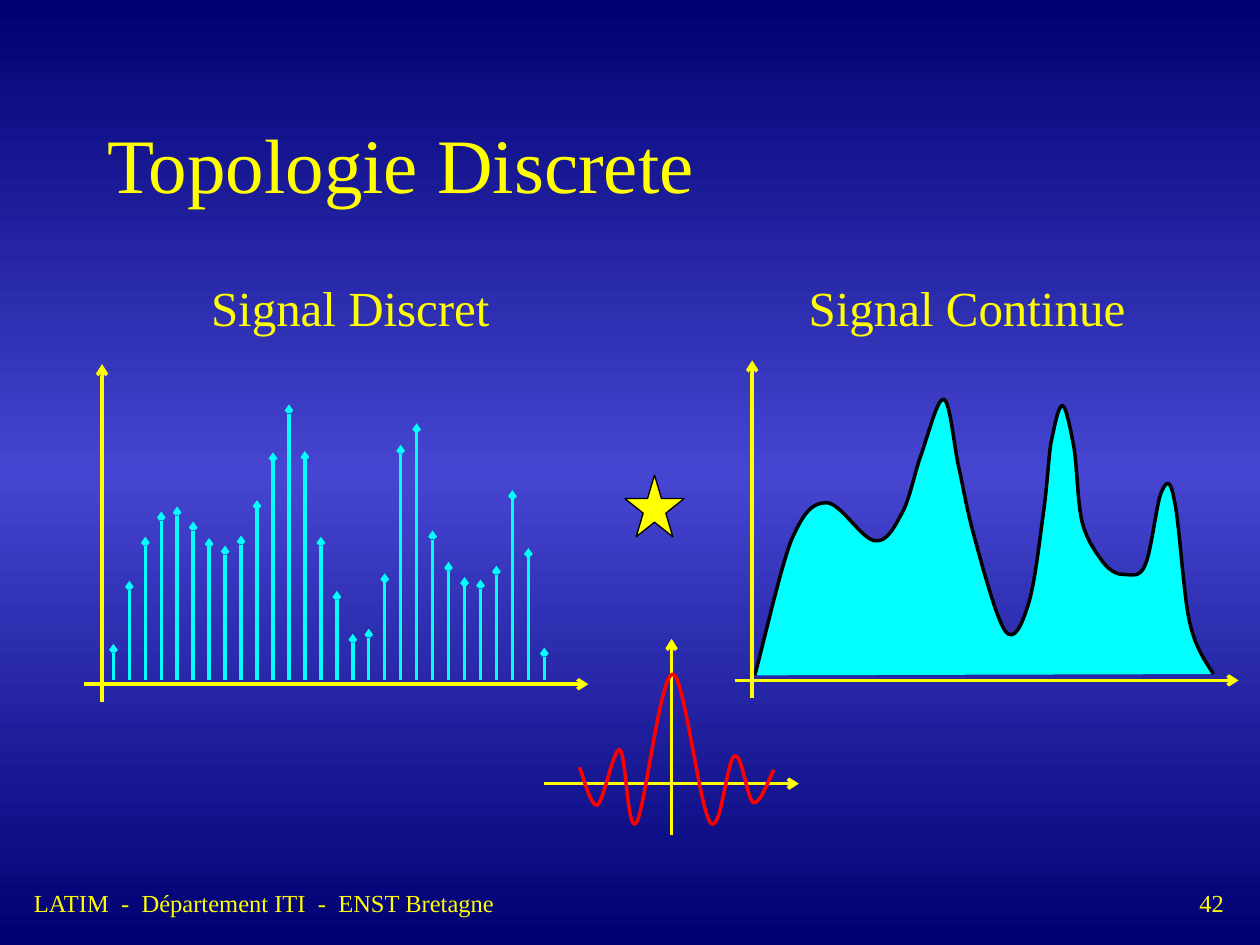
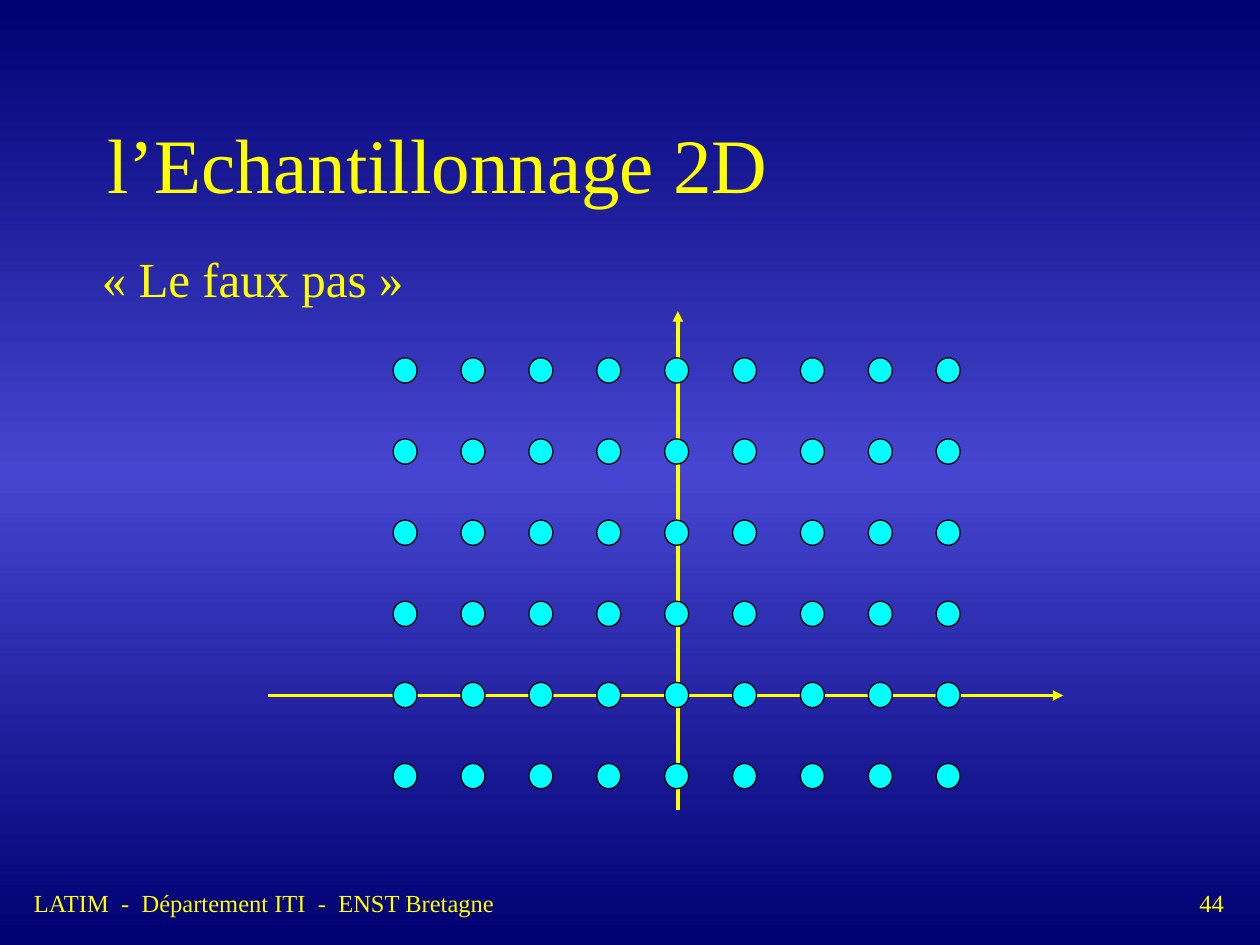
from copy import deepcopy

from pptx import Presentation
from pptx.dml.color import RGBColor
from pptx.enum.shapes import MSO_CONNECTOR, MSO_SHAPE, PP_PLACEHOLDER
from pptx.enum.text import MSO_ANCHOR, PP_ALIGN
from pptx.oxml.ns import qn
from pptx.util import Inches, Pt

STRAIGHT = MSO_CONNECTOR.STRAIGHT
STAR, OVAL = MSO_SHAPE.STAR_5_POINT, MSO_SHAPE.OVAL
FOOTER_TYPE = PP_PLACEHOLDER.FOOTER
LEFT, CENTER = PP_ALIGN.LEFT, PP_ALIGN.CENTER
TOP, MIDDLE = MSO_ANCHOR.TOP, MSO_ANCHOR.MIDDLE

NAVY = RGBColor(0x00, 0x00, 0x72)
INDIGO = RGBColor(0x45, 0x45, 0xD1)
YELLOW = RGBColor(0xFF, 0xFF, 0x00)
CYAN = RGBColor(0x00, 0xFF, 0xFF)
RED = RGBColor(0xFF, 0x00, 0x00)
BLACK = RGBColor(0x00, 0x00, 0x00)
FONT = "Times New Roman"

FOOTER = "LATIM  -  Département ITI  -  ENST Bretagne"
BACKGROUND_STOPS = [(0, NAVY), (0.5, INDIGO), (1, NAVY)]

SIGNAL_LABELS = [
    ("Signal Discret", (1.29, 2.15, 2.98, 0.57)),
    ("Signal Continue", (6.01, 2.15, 3.33, 0.57)),
]
DISCRETE_AXES = [((0.67, 5.43), (4.67, 5.43)), ((0.81, 5.57), (0.81, 2.89))]
KERNEL_AXES = [((5.33, 6.63), (5.33, 5.07)), ((4.32, 6.22), (6.34, 6.22))]
CONTINUOUS_AXES = [((5.83, 5.4), (9.83, 5.4)), ((5.97, 5.54), (5.97, 2.86))]
GRID_AXES = [((5.38, 6.43), (5.38, 2.47)), ((2.13, 5.52), (8.44, 5.52))]

STEM_FIRST, STEM_LAST, STEM_BASE = 0.9, 4.32, 5.4
STEM_TOPS = [
    5.11, 4.61, 4.26, 4.06, 4.02, 4.14, 4.27, 4.33, 4.25, 3.97,
    3.59, 3.21, 3.58, 4.26, 4.69, 5.03, 4.99, 4.55, 3.53, 3.36,
    4.21, 4.46, 4.58, 4.6, 4.49, 3.89, 4.35, 5.14,
]

KERNEL_START = (4.6, 6.09)
KERNEL_CURVES = [
    (4.62, 6.13, 4.69, 6.41, 4.74, 6.39),
    (4.79, 6.37, 4.87, 5.93, 4.92, 5.95),
    (4.97, 5.98, 4.98, 6.63, 5.05, 6.53),
    (5.12, 6.43, 5.24, 5.35, 5.34, 5.35),
    (5.43, 5.35, 5.55, 6.42, 5.64, 6.53),
    (5.72, 6.63, 5.77, 6.02, 5.83, 6.0),
    (5.89, 5.97, 5.93, 6.35, 5.98, 6.37),
    (6.03, 6.39, 6.11, 6.17, 6.14, 6.11),
]
SIGNAL_START = (5.99, 5.36)
SIGNAL_CURVES = [
    (6.04, 5.19, 6.19, 4.52, 6.28, 4.29),
    (6.38, 4.06, 6.45, 3.99, 6.56, 3.99),
    (6.67, 3.99, 6.84, 4.28, 6.94, 4.29),
    (7.04, 4.31, 7.1, 4.18, 7.16, 4.07),
    (7.22, 3.96, 7.25, 3.79, 7.3, 3.64),
    (7.36, 3.48, 7.44, 3.15, 7.49, 3.17),
    (7.54, 3.18, 7.57, 3.53, 7.61, 3.71),
    (7.65, 3.89, 7.67, 4.03, 7.73, 4.25),
    (7.79, 4.47, 7.91, 4.92, 7.98, 5.01),
    (8.05, 5.1, 8.11, 4.96, 8.16, 4.8),
    (8.21, 4.65, 8.25, 4.3, 8.28, 4.08),
    (8.31, 3.87, 8.32, 3.66, 8.34, 3.52),
    (8.37, 3.38, 8.4, 3.22, 8.43, 3.22),
    (8.46, 3.22, 8.49, 3.38, 8.52, 3.53),
    (8.55, 3.69, 8.55, 3.99, 8.59, 4.15),
    (8.63, 4.3, 8.71, 4.4, 8.76, 4.47),
    (8.82, 4.54, 8.87, 4.56, 8.93, 4.56),
    (8.98, 4.56, 9.05, 4.59, 9.09, 4.48),
    (9.14, 4.37, 9.18, 3.98, 9.22, 3.9),
    (9.26, 3.81, 9.29, 3.8, 9.32, 3.97),
    (9.36, 4.14, 9.39, 4.7, 9.44, 4.93),
    (9.49, 5.16, 9.59, 5.28, 9.63, 5.35),
]

GRID_COLUMNS, GRID_ROWS = 9, 6
GRID_LEFT, GRID_RIGHT = 3.12, 7.43
GRID_TOP, GRID_BOTTOM = 2.84, 6.06
DOT_WIDTH, DOT_HEIGHT = 0.19, 0.2


def spread(first, last, count):
    return [first + (last - first) * index / (count - 1) for index in range(count)]


def set_background(master):
    fill = master.background.fill
    fill.gradient()
    fill.gradient_angle = 90
    stop_list = master.element.xpath(".//p:bg//a:gsLst")[0]
    stop_list.insert(1, deepcopy(stop_list[0]))
    for stop, (position, color) in zip(fill.gradient_stops, BACKGROUND_STOPS):
        stop.position = position
        stop.color.rgb = color


def place(shape, bounds):
    shape.left, shape.top, shape.width, shape.height = map(Inches, bounds)


def write(frame, text, size, align=LEFT, anchor=TOP):
    frame.text = text
    frame.word_wrap = True
    frame.vertical_anchor = anchor
    paragraph = frame.paragraphs[0]
    paragraph.alignment = align
    paragraph.font.name = FONT
    paragraph.font.size = Pt(size)
    paragraph.font.color.rgb = YELLOW


def set_footer(master):
    footer = next(shape for shape in master.placeholders
                  if shape.placeholder_format.type == FOOTER_TYPE)
    place(footer, (0.17, 7, 7.17, 0.34))
    write(footer.text_frame, FOOTER, 14)
    marker = footer.element.xpath(".//p:ph")[0]
    marker.getparent().remove(marker)


def add_text(page, text, bounds, size, align=LEFT):
    box = page.shapes.add_textbox(*map(Inches, bounds))
    write(box.text_frame, text, size, align)


def add_page(deck, title_text, number):
    page = deck.slides.add_slide(deck.slide_layouts[5])
    add_text(page, number, (9.42, 7, 0.58, 0.34), 14)
    place(page.shapes.title, (0.75, 0.67, 8.5, 1.25))
    write(page.shapes.title.text_frame, title_text, 44, anchor=MIDDLE)
    return page


def add_arrow(page, start, end, color=YELLOW, head="arrow", head_size="med"):
    arrow = page.shapes.add_connector(STRAIGHT, *map(Inches, start + end))
    arrow.line.color.rgb = color
    arrow.line.width = Pt(2)
    properties = arrow.element.spPr
    line = properties.find(qn("a:ln"))
    line.append(line.makeelement(
        qn("a:tailEnd"), {"type": head, "w": head_size, "len": head_size}))
    properties.append(properties.makeelement(qn("a:effectLst"), {}))


def add_axes(page, axes, head="arrow"):
    for start, end in axes:
        add_arrow(page, start, end, head=head)


def style(shape, fill_color, line_color, line_width):
    shape.shadow.inherit = False
    if fill_color is None:
        shape.fill.background()
    else:
        shape.fill.solid()
        shape.fill.fore_color.rgb = fill_color
    shape.line.color.rgb = line_color
    shape.line.width = Pt(line_width)


def add_preset(page, kind, bounds, color):
    shape = page.shapes.add_shape(kind, *map(Inches, bounds))
    style(shape, color, BLACK, 0.75)


def add_curve(page, start, curves, fill_color, line_color):
    points = [tuple(map(Inches, curve[index:index + 2]))
              for curve in curves for index in (0, 2, 4)]
    builder = page.shapes.build_freeform(*map(Inches, start))
    builder.add_line_segments(points, close=False)
    shape = builder.convert_to_shape()
    outline = shape.element.xpath(".//a:path")[0]
    segments = outline.findall(qn("a:lnTo"))
    for index in range(0, len(segments), 3):
        bezier = outline.makeelement(qn("a:cubicBezTo"), {})
        outline.append(bezier)
        for segment in segments[index:index + 3]:
            bezier.append(segment[0])
            outline.remove(segment)
    style(shape, fill_color, line_color, 2)


def build_topology(deck):
    page = add_page(deck, "Topologie Discrete", "42")
    for text, bounds in SIGNAL_LABELS:
        add_text(page, text, bounds, 28, CENTER)
    add_axes(page, DISCRETE_AXES)
    for x, top in zip(spread(STEM_FIRST, STEM_LAST, len(STEM_TOPS)), STEM_TOPS):
        add_arrow(page, (x, STEM_BASE), (x, top), CYAN, head_size="sm")
    add_axes(page, KERNEL_AXES)
    add_curve(page, KERNEL_START, KERNEL_CURVES, None, RED)
    add_preset(page, STAR, (4.96, 3.77, 0.47, 0.49), YELLOW)
    add_curve(page, SIGNAL_START, SIGNAL_CURVES, CYAN, BLACK)
    add_axes(page, CONTINUOUS_AXES)


def build_sampling(deck):
    page = add_page(deck, "l’Echantillonnage 2D", "44")
    add_text(page, "« Le faux pas »", (0.71, 1.92, 5.41, 0.57), 28)
    add_axes(page, GRID_AXES, head="triangle")
    for top in spread(GRID_TOP, GRID_BOTTOM, GRID_ROWS):
        for left in spread(GRID_LEFT, GRID_RIGHT, GRID_COLUMNS):
            add_preset(page, OVAL, (left, top, DOT_WIDTH, DOT_HEIGHT), CYAN)


def main():
    deck = Presentation()
    deck.slide_width, deck.slide_height = Inches(10), Inches(7.5)
    set_background(deck.slide_master)
    set_footer(deck.slide_master)
    build_topology(deck)
    build_sampling(deck)
    deck.save("out.pptx")


if __name__ == "__main__":
    main()
